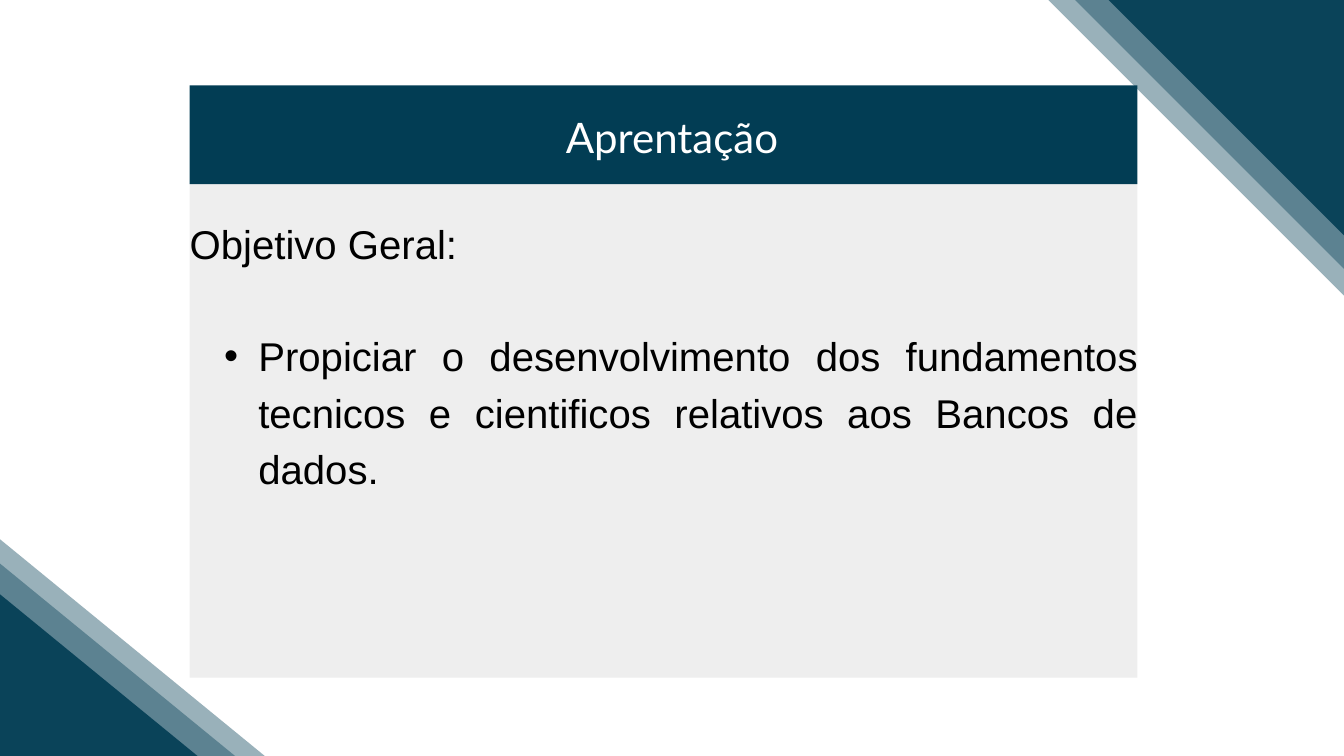
from lxml import etree
from pptx import Presentation
from pptx.dml.color import RGBColor
from pptx.enum.shapes import MSO_SHAPE as Shape
from pptx.enum.text import PP_ALIGN as Align
from pptx.oxml.ns import qn
from pptx.util import Pt

PX = 9525  # EMU per px, 96 px to the inch
COLORS = {"navy": "023D54", "panel": "EEEEEE", "white": "FFFFFF", "black": "000000"}

prs = Presentation()
prs.slide_width, prs.slide_height = 1920 * PX, 1080 * PX
slide = prs.slides.add_slide(prs.slide_layouts[6])


def add_block(left, top, width, height, color, rotation=0, opacity=100):
    block = slide.shapes.add_shape(
        Shape.RECTANGLE, left * PX, top * PX, width * PX, height * PX)
    block.shadow.inherit = False
    block.rotation = rotation
    block.line.fill.background()
    block.fill.solid()
    block.fill.fore_color.rgb = RGBColor.from_string(COLORS[color])
    if opacity < 100:
        srgb = block.fill._xPr.find(".//" + qn("a:srgbClr"))
        etree.SubElement(srgb, qn("a:alpha"), val=str(opacity * 1000))


def add_text(left, top, width, height, lines, font, size, color, align, spacing):
    frame = slide.shapes.add_textbox(
        left * PX, top * PX, width * PX, height * PX).text_frame
    frame.word_wrap = True
    frame.margin_left = frame.margin_top = frame.margin_right = frame.margin_bottom = 0
    for i, line in enumerate(lines):
        para = frame.paragraphs[0] if i == 0 else frame.add_paragraph()
        para.alignment = align
        para.line_spacing = Pt(spacing)
        run = para.add_run()
        run.text = line
        run.font.name, run.font.size = font, Pt(size)
        run.font.color.rgb = RGBColor.from_string(COLORS[color])
    return frame.paragraphs


# Content panel and title bar
add_block(271, 262, 1354, 706, "panel")
add_block(271, 122, 1354, 141, "navy")
add_text(216, 153, 1488, 76, ["Aprentação"], "Lato", 45, "white", Align.CENTER, 58.5)

# Layered bands across the top-right and bottom-left corners
for shift, drift, opacity in [(0, 0, 40), (38, 4, 40), (86, 9, 90)]:
    add_block(1568, -512 - shift, 614, 910, "navy", 315, opacity)
    add_block(-312 + drift, 708 + shift, 614, 910, "navy", 129.3, opacity)

# General objective
heading, goal = add_text(
    271, 302, 1354, 397,
    ["Objetivo Geral:",
     "Propiciar o desenvolvimento dos fundamentos tecnicos e cientificos "
     "relativos aos Bancos de dados."],
    "Arial", 43, "black", Align.JUSTIFY, 60.2)
goal.level = 1
goal.space_before = Pt(60.2)
goal_props = goal._p.get_or_add_pPr()
goal_props.set("marL", str(98 * PX))
goal_props.set("indent", str(-49 * PX))
etree.SubElement(goal_props, qn("a:buFont"), typeface="Arial")
etree.SubElement(goal_props, qn("a:buChar"), char="•")

prs.save("out.pptx")
